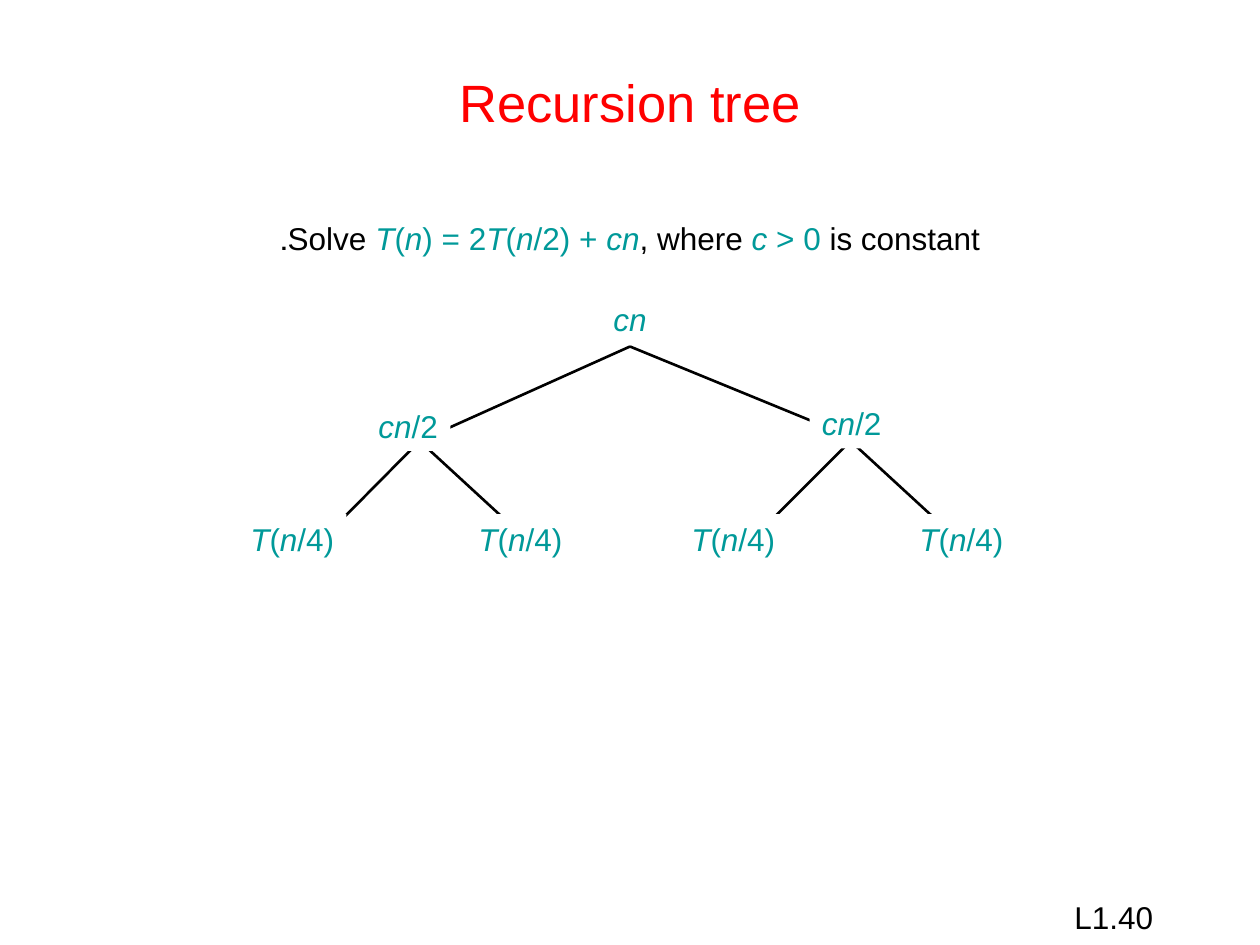
from pptx import Presentation
from pptx.dml.color import RGBColor as RGB
from pptx.enum.shapes import MSO_CONNECTOR as CONN, MSO_SHAPE as SHAPE
from pptx.enum.text import MSO_ANCHOR as ANCHOR, PP_ALIGN as ALIGN
from pptx.oxml.ns import qn
from pptx.util import Inches, Pt
from lxml.etree import SubElement

WIDE, HIGH = 10, 7.5
BLACK, RED, TEAL, WHITE = "000000", "FF0000", "009999", "FFFFFF"

TITLE = [("Recursion tree", RED, False)]
PAGE = [("L1.40", BLACK, False)]
TASK = [("Solve ", BLACK, False), ("T", TEAL, True), ("(", TEAL, False),
        ("n", TEAL, True), (") = 2", TEAL, False), ("T", TEAL, True),
        ("(", TEAL, False), ("n", TEAL, True), ("/2) + ", TEAL, False),
        ("cn", TEAL, True), (", where ", BLACK, False), ("c ", TEAL, True),
        ("> 0", TEAL, False), (" is constant.", BLACK, False)]
ROOT = [("cn", TEAL, True)]
HALF = ROOT + [("/2", TEAL, False)]
LEAF = [("T", TEAL, True), ("(", TEAL, False), ("n", TEAL, True),
        ("/4)", TEAL, False)]

ROW = 0.4
TOP, MID, LOW = 2.75, 3.5, 4.42
NODES = [(ROOT, 0.46, 2.33, [WIDE / 2]),
         (LEAF, 0.86, 4.08, [2.32, 4.13, 5.82, 7.63]),
         (HALF, 0.67, 3.18, [3.24]),
         (HALF, 0.67, 3.16, [6.76])]
EDGES = [((WIDE / 2, TOP), [(3.33, MID), (6.83, MID)]),
         ((3.33, MID), [(2.42, LOW), (4.33, LOW)]),
         ((6.75, MID), [(5.83, LOW), (7.75, LOW)])]


def tint(code):
    return RGB.from_string(code)


def write(shape, runs, size=18, align=ALIGN.CENTER, wrap=False, rtl=False):
    frame = shape.text_frame
    frame.word_wrap = wrap
    frame.vertical_anchor = ANCHOR.MIDDLE if size > 18 else ANCHOR.TOP
    para = frame.paragraphs[0]
    para.alignment = align
    if rtl:
        para._p.get_or_add_pPr().set("rtl", "1")
    for text, color, slant in runs:
        run = para.add_run()
        run.text = text
        font = run.font
        font.name, font.size, font.italic = "Arial", Pt(size), slant
        font.color.rgb = tint(color)


def label(slide, runs, box, **style):
    write(slide.shapes.add_textbox(*map(Inches, box)), runs, **style)


def edge(slide, start, end):
    line = slide.shapes.add_connector(CONN.STRAIGHT, *map(Inches, start + end))
    line.line.color.rgb = tint(BLACK)
    line.line.width = Pt(1.5)
    SubElement(line._element.spPr, qn("a:effectLst"))


def node(slide, runs, mid, top, width):
    box = map(Inches, (mid - width / 2, top, width, ROW))
    shape = slide.shapes.add_shape(SHAPE.RECTANGLE, *box)
    shape.shadow.inherit = False
    shape.fill.solid()
    shape.fill.fore_color.rgb = tint(WHITE)
    shape.line.fill.background()
    write(shape, runs)


def main():
    """Build the recursion tree slide."""
    deck = Presentation()
    deck.slide_width, deck.slide_height = Inches(WIDE), Inches(HIGH)
    slide = deck.slides.add_slide(deck.slide_layouts[6])
    label(slide, PAGE, (7.17, 7.08, 2.08, 0.25), align=ALIGN.RIGHT, wrap=True)
    label(slide, TITLE, (0.5, 0.3, WIDE - 1, 1.01), size=30, wrap=True)
    label(slide, TASK, (2.12, 1.69, 5.76, ROW), rtl=True)
    for start, ends in EDGES:
        for end in ends:
            edge(slide, start, end)
    for runs, width, top, mids in NODES:
        for mid in mids:
            node(slide, runs, mid, top, width)
    deck.save("out.pptx")


if __name__ == "__main__":
    main()
